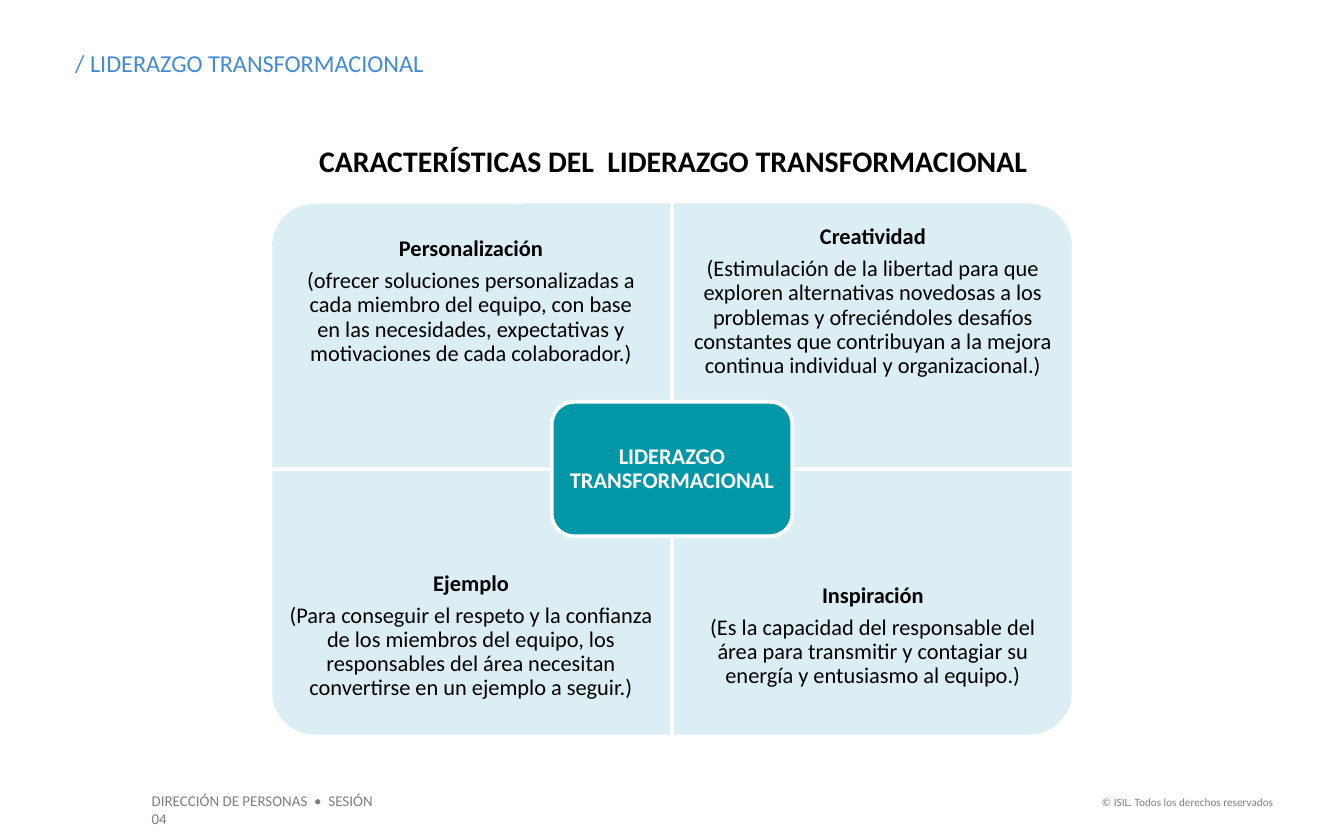
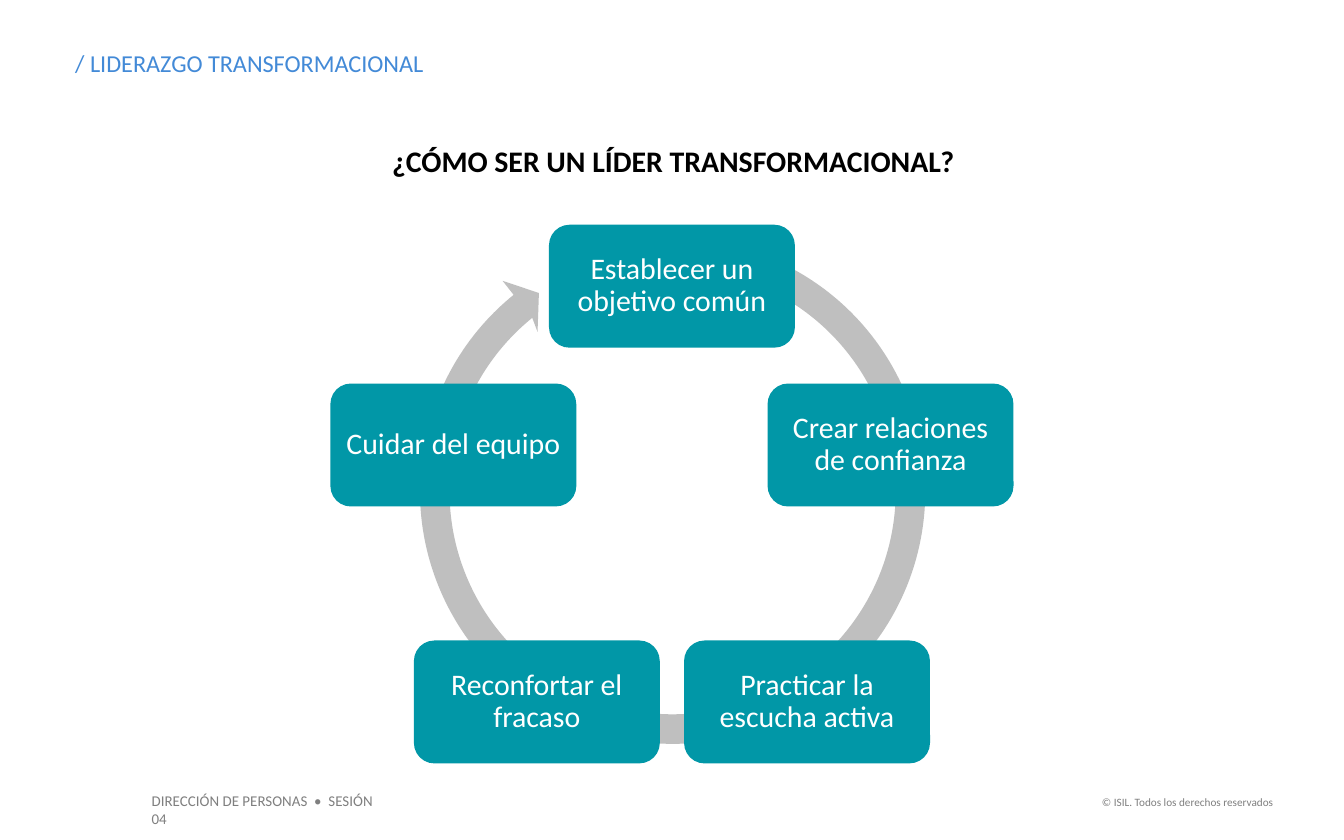
from math import cos, radians, sin, tan

from lxml.etree import SubElement
from pptx import Presentation
from pptx.dml.color import RGBColor
from pptx.enum.shapes import MSO_SHAPE
from pptx.enum.text import MSO_ANCHOR, MSO_AUTO_SIZE, PP_ALIGN
from pptx.oxml.ns import qn
from pptx.util import Emu, Pt

EMU_PER_PX = 9144
FONT = "Calibri"
BLACK, WHITE, GRAY = "000000", "FFFFFF", "7F7F7F"
BLUE, TEAL, PALE, RING = "438AD7", "0197A7", "DAEEF3", "BFBFBF"
CORNER = 0.167

SECTION = "/ LIDERAZGO TRANSFORMACIONAL"
FOOTER = "DIRECCIÓN DE PERSONAS  •  SESIÓN 04"
COPYRIGHT = "© ISIL. Todos los derechos reservados"

QUADRANTS = [
    (0, 0, 270, "Personalización",
     "(ofrecer soluciones personalizadas a\ncada miembro del equipo, con base\n"
     "en las necesidades, expectativas y motivaciones de cada colaborador.)"),
    (1, 0, 0, "Creatividad",
     "(Estimulación de la libertad para que exploren alternativas novedosas a los "
     "problemas y ofreciéndoles desafíos constantes que contribuyan a la mejora "
     "continua individual y organizacional.)"),
    (0, 1, 180, "Ejemplo",
     "(Para conseguir el respeto y la confianza de los miembros del equipo, los "
     "responsables del área necesitan convertirse en un ejemplo a seguir.)"),
    (1, 1, 90, "Inspiración",
     "(Es la capacidad del responsable del\nárea para transmitir y contagiar su "
     "energía y entusiasmo al equipo.)"),
]

STEPS = [
    "Establecer un objetivo común",
    "Crear relaciones de confianza",
    "Practicar la escucha activa",
    "Reconfortar el fracaso",
    "Cuidar del equipo",
]


def px(value):
    return Emu(round(value * EMU_PER_PX))


def color(value):
    return RGBColor.from_string(value)


def apply(target, values):
    for name, value in values.items():
        setattr(target, name, value)


def setup_frame(shape, inset_x=0, inset_y=0, anchor=MSO_ANCHOR.TOP):
    frame = shape.text_frame
    apply(frame, {
        "word_wrap": True, "vertical_anchor": anchor,
        "margin_left": px(inset_x), "margin_right": px(inset_x),
        "margin_top": px(inset_y), "margin_bottom": px(inset_y),
    })
    return frame


def write(paragraph, text, size, text_color, bold=False, **layout):
    paragraph.text = text
    apply(paragraph, layout)
    for run in paragraph.runs:
        apply(run.font, {"name": FONT, "size": Pt(size), "bold": bold})
        run.font.color.rgb = color(text_color)


def add_label(slide, box, text, size, text_color, inset=(0, 0), bold=False,
              alignment=PP_ALIGN.LEFT):
    shape = slide.shapes.add_textbox(*map(px, box))
    frame = setup_frame(shape, *inset)
    frame.auto_size = MSO_AUTO_SIZE.SHAPE_TO_FIT_TEXT
    write(frame.paragraphs[0], text, size, text_color, bold, alignment=alignment)
    return frame.paragraphs[0]


def paint(shape, fill, outline=None):
    shape.shadow.inherit = False
    shape.fill.solid()
    shape.fill.fore_color.rgb = color(fill)
    if outline:
        shape.line.color.rgb = color(outline)
        shape.line.width = Pt(2)
    else:
        shape.line.fill.background()


def add_rounded(slide, kind, box, fill, outline=None):
    shape = slide.shapes.add_shape(kind, *map(px, box))
    shape.adjustments[0] = CORNER
    paint(shape, fill, outline)
    return shape


def add_node(slide, center, size, text, text_size, inset, bold=False, outline=None):
    (x, y), (width, height) = center, size
    box = (x - width / 2, y - height / 2, width, height)
    shape = add_rounded(slide, MSO_SHAPE.ROUNDED_RECTANGLE, box, TEAL, outline)
    frame = setup_frame(shape, inset, inset, MSO_ANCHOR.MIDDLE)
    write(frame.paragraphs[0], text, text_size, WHITE, bold,
          alignment=PP_ALIGN.CENTER, line_spacing=0.9)


def add_quadrant(slide, column, row, rotation, title, body):
    width, height, text_height = 299, 199, 149
    left, top = 201 + column * width, 150 + row * height
    box = (left, top, width, height)
    if rotation % 180:
        shift = (width - height) / 2
        box = (left + shift, top - shift, height, width)
    panel = add_rounded(slide, MSO_SHAPE.ROUND_1_RECTANGLE, box, PALE, WHITE)
    panel.rotation = rotation

    text_top = top + row * (height - text_height)
    text_box = slide.shapes.add_textbox(
        *map(px, (left, text_top, width, text_height)))
    frame = setup_frame(text_box, 9, 9, MSO_ANCHOR.MIDDLE)
    layout = {"alignment": PP_ALIGN.CENTER, "line_spacing": 0.9}
    write(frame.paragraphs[0], title, 12, BLACK, True, **layout)
    write(frame.add_paragraph(), body, 12, BLACK, space_before=Pt(4.2), **layout)


def clock_point(center, radius, degrees):
    angle = radians(degrees)
    return center[0] + radius * sin(angle), center[1] - radius * cos(angle)


def arc_curves(center, radius, start, sweep, count=4):
    step = sweep / count
    reach = radius * 4 / 3 * tan(radians(step) / 4)
    curves = []
    for index in range(count):
        first = start + index * step
        last = first + step
        begin = clock_point(center, radius, first)
        end = clock_point(center, radius, last)
        curves.append([clock_point(begin, reach, first + 90),
                       clock_point(end, -reach, last + 90), end])
    return curves


def add_segment(outline, tag, points):
    segment = SubElement(outline, qn(tag))
    for x, y in points:
        SubElement(segment, qn("a:pt"), x=str(px(x)), y=str(px(y)))


def add_ring_arrow(slide):
    left, top, side = 300, 165, 401
    center, outer, inner = (side / 2, side / 2), 188, 166
    start, sweep = 19, 302
    head = [(74, 44), (101, 53), (100, 82)]

    corners = [(left + side, top), (left + side, top + side), (left, top + side)]
    builder = slide.shapes.build_freeform(px(left), px(top), scale=1.0)
    builder.add_line_segments([(px(x), px(y)) for x, y in corners], close=True)
    ring = builder.convert_to_shape()

    outline = ring._element.find(".//" + qn("a:path"))
    for segment in list(outline):
        outline.remove(segment)
    add_segment(outline, "a:moveTo", [clock_point(center, outer, start)])
    for curve in arc_curves(center, outer, start, sweep):
        add_segment(outline, "a:cubicBezTo", curve)
    for point in head + [clock_point(center, inner, start + sweep)]:
        add_segment(outline, "a:lnTo", [point])
    for curve in arc_curves(center, inner, start + sweep, -sweep):
        add_segment(outline, "a:cubicBezTo", curve)
    SubElement(outline, qn("a:close"))
    paint(ring, RING)


def add_cycle(slide, steps):
    add_ring_arrow(slide)
    for index, step in enumerate(steps):
        center = clock_point((500, 384), 171, index * 360 / len(steps))
        add_node(slide, center, (183, 91.5), step, 16, 7)


def add_base_slide(presentation, heading):
    slide = presentation.slides.add_slide(presentation.slide_layouts[6])
    add_label(slide, (103, 584, 198, 24), FOOTER, 8, GRAY, (10, 5))
    add_label(slide, (805, 587, 152, 20), COPYRIGHT, 6, GRAY, (10, 5),
              alignment=PP_ALIGN.RIGHT)
    title = add_label(slide, (56, 106, 889, 27), heading, 16, BLACK, bold=True,
                      alignment=PP_ALIGN.CENTER)
    title._p.get_or_add_pPr().set("marL", str(px(1)))
    add_label(slide, (56, 36, 428, 22), SECTION, 13, BLUE)
    return slide


def main():
    presentation = Presentation()
    presentation.slide_width, presentation.slide_height = px(1000), px(625)

    traits = add_base_slide(
        presentation, "CARACTERÍSTICAS DEL  LIDERAZGO TRANSFORMACIONAL")
    for quadrant in QUADRANTS:
        add_quadrant(traits, *quadrant)
    add_node(traits, (500, 349), (179, 100), "LIDERAZGO TRANSFORMACIONAL", 12, 5,
             bold=True, outline=WHITE)

    practice = add_base_slide(presentation, "¿CÓMO SER UN LÍDER TRANSFORMACIONAL?")
    add_cycle(practice, STEPS)

    presentation.save("out.pptx")


if __name__ == "__main__":
    main()
